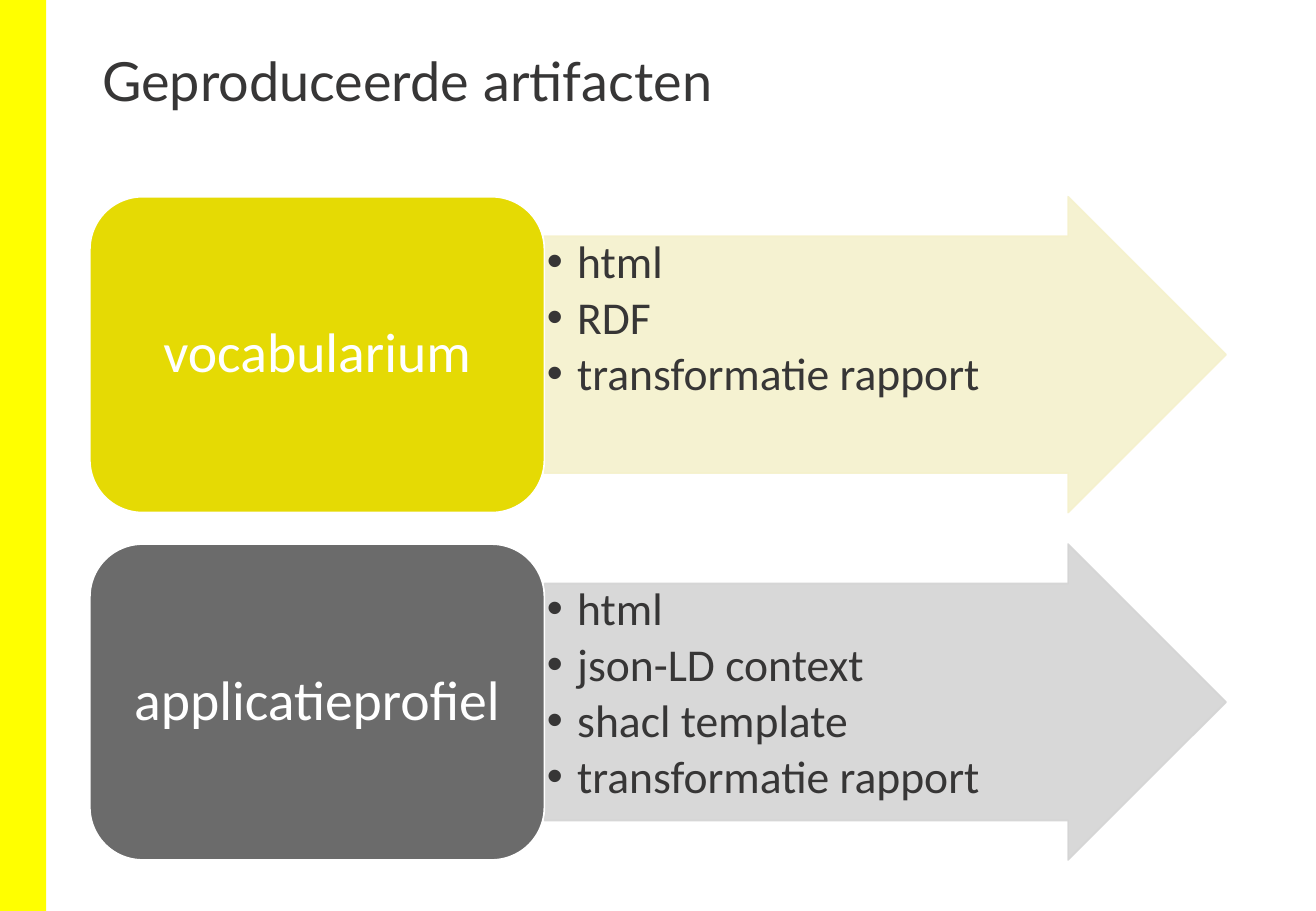
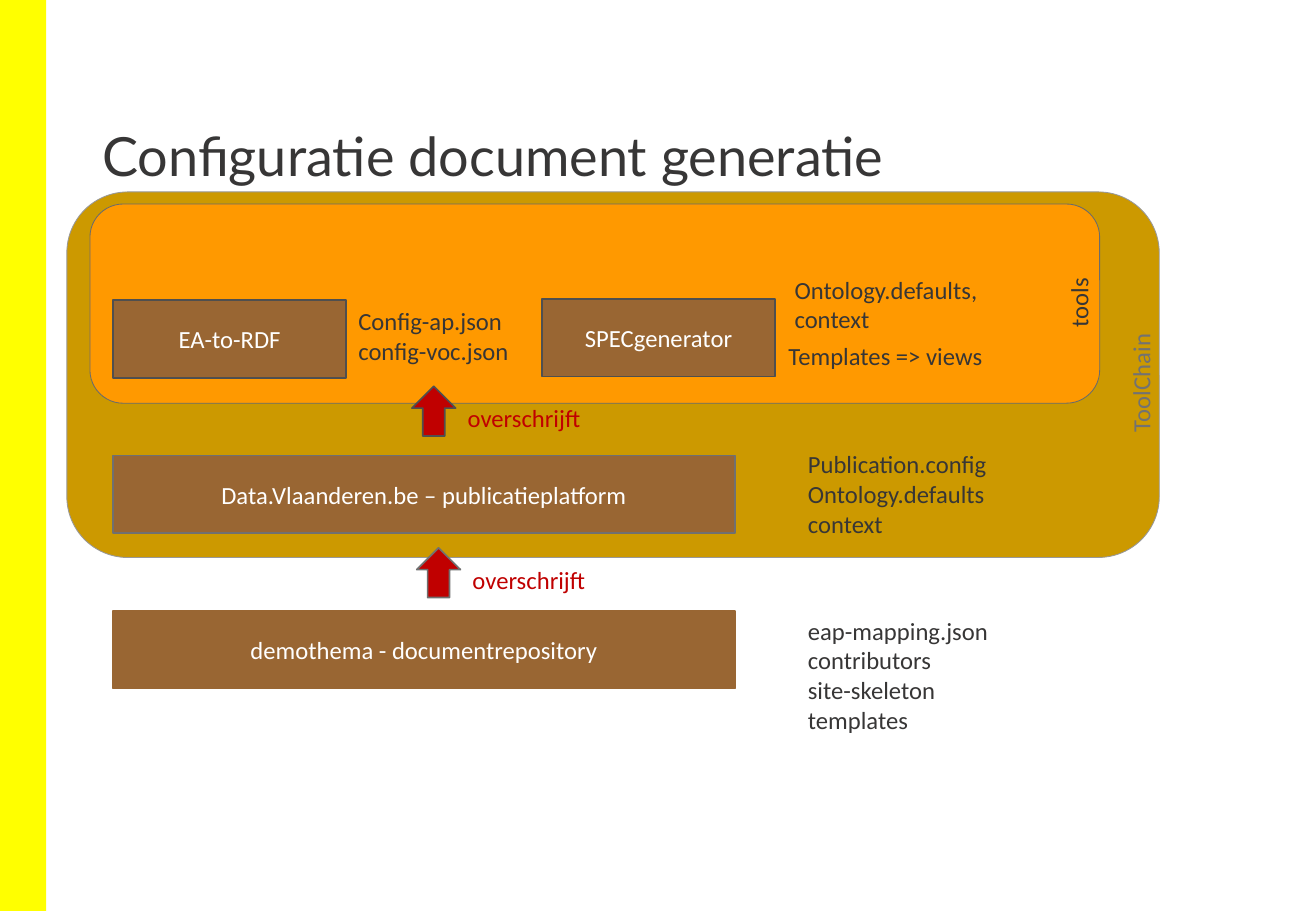
import dataclasses

import lxml.etree
import pptx
import pptx.dml.color
import pptx.enum.shapes
import pptx.enum.text
import pptx.oxml.ns
import pptx.util

Inches = pptx.util.Inches
SHAPE = pptx.enum.shapes.MSO_SHAPE
ALIGN = pptx.enum.text.PP_ALIGN
ANCHOR = pptx.enum.text.MSO_ANCHOR
qn = pptx.oxml.ns.qn


@dataclasses.dataclass(frozen=True)
class Theme:
    heading_font: str = "Lato"
    body_font: str = "Calibri"
    title_size: float = 32
    name_size: float = 33
    list_size: float = 27
    label_size: float = 14.6
    text: str = "373636"
    white: str = "FFFFFF"
    band: str = "FFFF00"
    yellow: str = "E5DA04"
    pale_yellow: str = "F5F1CC"
    grey: str = "6B6B6B"
    pale_grey: str = "D4D4D4"
    ochre: str = "CC9900"
    orange: str = "FF9900"
    brown: str = "996633"
    red: str = "C00000"
    soft_line: str = "989898"
    mid_line: str = "707070"
    dark_line: str = "4F4F4F"
    muted: str = "727272"


THEME = Theme()

ARTIFACTS = [
    ("vocabularium", ["html", "RDF", "transformatie rapport"],
     THEME.yellow, THEME.pale_yellow),
    ("applicatieprofiel",
     ["html", "json-LD context", "shacl template", "transformatie rapport"],
     THEME.grey, THEME.pale_grey),
]
CONTAINERS = [
    ((0.55, 1.58, 8.99, 3.01), THEME.ochre, THEME.soft_line),
    ((0.74, 1.68, 8.31, 1.64), THEME.orange, THEME.grey),
]
COMPONENTS = [
    ("Data.Vlaanderen.be – publicatieplatform", 0.93, 3.75, 5.12, THEME.mid_line),
    ("demothema - documentrepository", 0.93, 5.03, 5.12, THEME.brown),
    ("EA-to-RDF", 0.93, 2.47, 1.92, THEME.dark_line),
    ("SPECgenerator", 4.46, 2.46, 1.92, THEME.dark_line),
]
COMPONENT_HEIGHT = 0.64
FILES = [
    (["Publication.config", "Ontology.defaults", "context"],
     (6.55, 3.65, 2.5, 0.84), True),
    (["eap-mapping.json", "contributors", "site-skeleton", "templates"],
     (6.55, 5.02, 2.6, 1.09), True),
    (["Config-ap.json", "config-voc.json"], (2.85, 2.47, 1.45, 0.59), False),
    (["Ontology.defaults, context"], (6.44, 2.21, 1.92, 0.59), True),
    (["Templates => views"], (6.39, 2.76, 1.92, 0.35), True),
]
SIDE_LABELS = [
    ("ToolChain", (8.88, 2.97, 1.02, 0.35), THEME.muted),
    ("tools", (8.39, 2.13, 0.98, 0.35), THEME.text),
]
OVERRIDES = [(3.39, 3.18, THEME.dark_line), (3.43, 4.51, THEME.mid_line)]


def color(value):
    return pptx.dml.color.RGBColor.from_string(value)


def write(frame, lines, size=THEME.label_size, tint=THEME.text,
          font=THEME.body_font, align=ALIGN.LEFT, anchor=ANCHOR.TOP,
          spacing=1.0, after=0, bullet=None, insets=(0.1, 0.05), wrap=True):
    frame.word_wrap = wrap
    frame.vertical_anchor = anchor
    frame.margin_left = frame.margin_right = Inches(insets[0])
    frame.margin_top = frame.margin_bottom = Inches(insets[1])
    for index, line in enumerate(lines):
        para = frame.add_paragraph() if index else frame.paragraphs[0]
        para.alignment = align
        para.line_spacing = spacing
        para.space_after = pptx.util.Pt(after)
        if bullet:
            props = para._p.get_or_add_pPr()
            props.set("marL", str(Inches(0.25)))
            props.set("indent", str(-Inches(0.25)))
            lxml.etree.SubElement(props, qn("a:buFont"), typeface="Arial")
            lxml.etree.SubElement(props, qn("a:buChar"), char=bullet)
        span = para.add_run()
        span.text = line
        span.font.name = font
        span.font.size = pptx.util.Pt(size)
        span.font.color.rgb = color(tint)


def add_box(page, kind, place, fill, line, width=1, alpha=None):
    box = page.shapes.add_shape(kind, *map(Inches, place))
    box.shadow.inherit = False
    box.fill.solid()
    box.fill.fore_color.rgb = color(fill)
    box.line.color.rgb = color(line)
    box.line.width = pptx.util.Pt(width)
    if alpha:
        for tone in box.element.spPr.iter(qn("a:srgbClr")):
            lxml.etree.SubElement(tone, qn("a:alpha"), val=str(alpha * 1000))
    return box


def add_label(page, lines, place, **style):
    box = page.shapes.add_textbox(*map(Inches, place))
    write(box.text_frame, lines, **style)
    return box


def add_page(deck, title, top, height):
    page = deck.slides.add_slide(deck.slide_layouts[5])
    head = page.shapes.title
    head.left, head.top, head.width, head.height = map(
        Inches, (0.74, top, 9.34, height))
    write(head.text_frame, [title], size=THEME.title_size,
          font=THEME.heading_font, spacing=0.9)
    return page


def add_layout_band(deck, page):
    band = add_box(page, SHAPE.RECTANGLE, (0, 0, 0.38, 7.5), THEME.band, THEME.band)
    band.line.fill.background()
    page.slide_layout.shapes.element.insert(2, band.element)


def build_artifacts(page):
    left, top, height, pitch = 0.74, 1.62, 2.6, 2.86
    name_width, arrow_width = 3.74, 5.61
    for index, (name, outputs, strong, pale) in enumerate(ARTIFACTS):
        row = top + index * pitch
        arrow = add_box(page, SHAPE.RIGHT_ARROW,
                        (left + name_width, row, arrow_width, height),
                        pale, pale, alpha=90)
        arrow.adjustments[0] = 0.75
        write(arrow.text_frame, outputs, size=THEME.list_size, spacing=0.9,
              after=4, bullet="•", insets=(0.02, 0.02))
        box = add_box(page, SHAPE.ROUNDED_RECTANGLE,
                      (left, row, name_width, height), strong, THEME.white)
        write(box.text_frame, [name], size=THEME.name_size, tint=THEME.white,
              align=ALIGN.CENTER, anchor=ANCHOR.MIDDLE, spacing=0.9,
              insets=(0.14, 0.07))


def build_configuration(page):
    for place, fill, line in CONTAINERS:
        add_box(page, SHAPE.ROUNDED_RECTANGLE, place, fill, line, width=0.5)
    for name, left, top, width, line in COMPONENTS:
        box = add_box(page, SHAPE.RECTANGLE,
                      (left, top, width, COMPONENT_HEIGHT), THEME.brown, line)
        write(box.text_frame, [name], tint=THEME.white, align=ALIGN.CENTER,
              anchor=ANCHOR.MIDDLE)
    for lines, place, wrap in FILES:
        add_label(page, lines, place, wrap=wrap)
    for name, place, tint in SIDE_LABELS:
        add_label(page, [name], place, tint=tint, wrap=False).rotation = 270
    for left, top, line in OVERRIDES:
        add_box(page, SHAPE.UP_ARROW, (left, top, 0.36, 0.41), THEME.red, line)
        add_label(page, ["overschrijft"], (left + 0.36, top + 0.09, 1.14, 0.35),
                  tint=THEME.red, wrap=False)


def main():
    deck = pptx.Presentation()
    deck.slide_width, deck.slide_height = Inches(10.83), Inches(7.5)
    artifacts = add_page(deck, "Geproduceerde artifacten", 0.4, 1.08)
    add_layout_band(deck, artifacts)
    build_artifacts(artifacts)
    build_configuration(
        add_page(deck, "Configuratie document generatie", 1.02, 1.18))
    deck.save("out.pptx")


if __name__ == "__main__":
    main()
